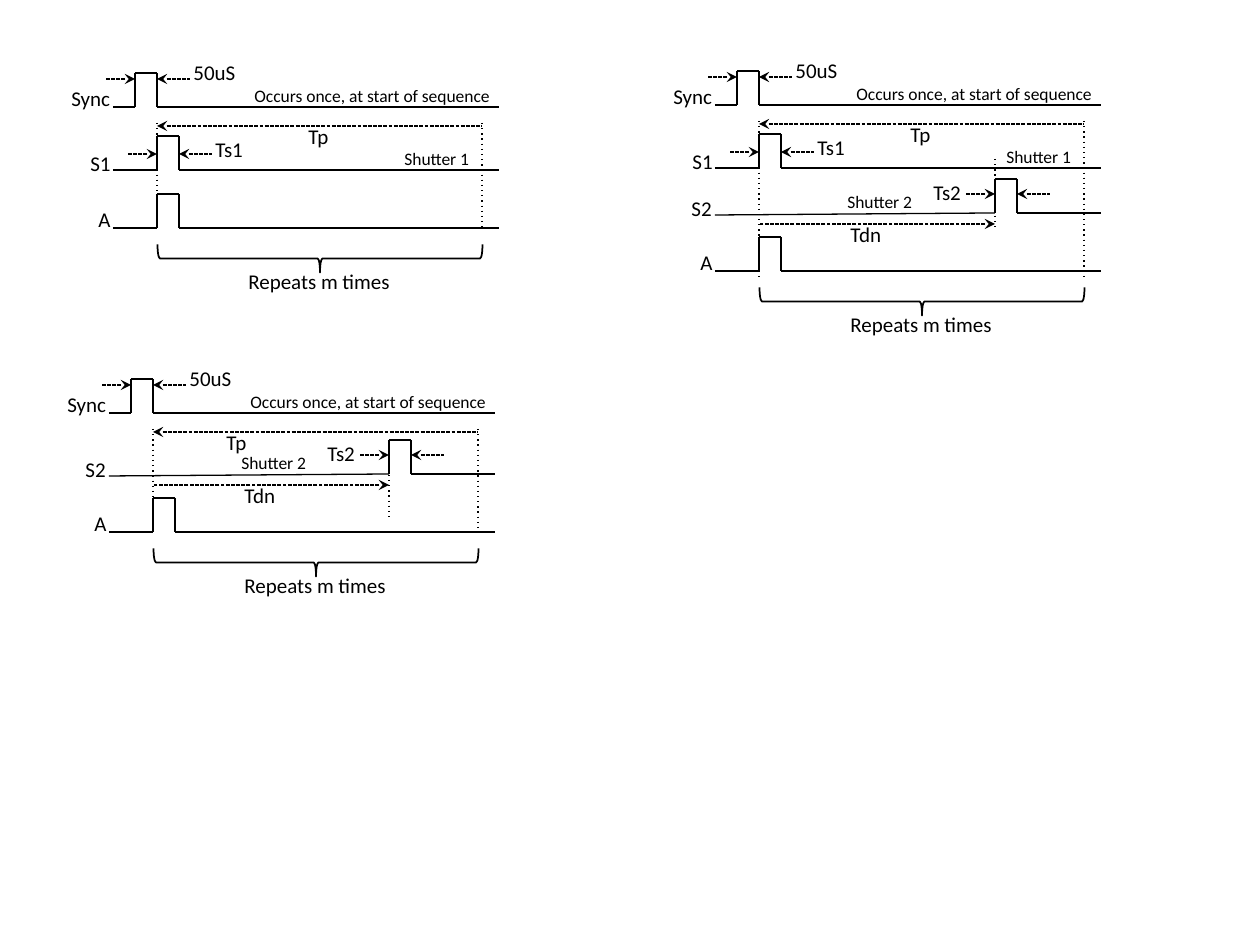
"""Build a slide with three timing diagrams for synchronised shutters."""
from lxml.etree import SubElement
from pptx import Presentation
from pptx.dml.color import RGBColor
from pptx.enum.dml import MSO_LINE
from pptx.enum.shapes import MSO_CONNECTOR, MSO_SHAPE
from pptx.enum.text import MSO_AUTO_SIZE
from pptx.oxml.ns import qn
from pptx.util import Pt

PIXEL = 914400 // 126
COLORS = {"ink": "000000"}
PULSE_WIDTH = 22
PULSE_HEIGHT = 34
LINE_START = -44
LINE_END = 342
PERIOD = 325
DELAY = 236

presentation = Presentation()
presentation.slide_width = 1260 * PIXEL
presentation.slide_height = 945 * PIXEL
slide = presentation.slides.add_slide(presentation.slide_layouts[6])


def add_line(shapes, start, end, dash=None, arrow=False):
    line = shapes.add_connector(
        MSO_CONNECTOR.STRAIGHT, *(round(value * PIXEL) for value in (*start, *end)))
    line.line.color.rgb = RGBColor.from_string(COLORS["ink"])
    line.line.width = Pt(0.75)
    if dash:
        line.line.dash_style = dash
    if arrow:
        SubElement(line.line._get_or_add_ln(), qn("a:headEnd"), type="stealth")
    SubElement(line._element.spPr, qn("a:effectLst"))


def add_text(text, left, top, width, height=38, size=12, color="ink"):
    box = slide.shapes.add_textbox(
        left * PIXEL, top * PIXEL, width * PIXEL, height * PIXEL)
    frame = box.text_frame
    frame.word_wrap = False
    frame.auto_size = MSO_AUTO_SIZE.SHAPE_TO_FIT_TEXT
    run = frame.paragraphs[0].add_run()
    run.text = text
    run.font.name = "Calibri"
    run.font.size = Pt(size)
    run.font.color.rgb = RGBColor.from_string(COLORS[color])


diagrams = [
    {"origin": (157, 107), "signals": {"Sync": 0, "S1": 63, "A": 121},
     "guide_ends": (121, 121), "period_label": 139},
    {"origin": (153, 413), "signals": {"Sync": 0, "S2": 61, "A": 119},
     "guide_ends": (104, 119), "period_label": 61, "delay_guide": (36, 104)},
    {"origin": (759, 105), "signals": {"Sync": 0, "S1": 63, "S2": 108, "A": 166},
     "guide_ends": (175, 175), "period_label": 139, "delay_guide": (54, 123)},
]
pulse_starts = {"Sync": -PULSE_WIDTH, "S1": 0, "S2": DELAY, "A": 0}
arrow_rises = {"Sync": 28, "S1": 16, "S2": 19}
labels = {
    "Sync": [("Sync", -98, -28, 66, 12), ("50uS", 24, -54, 68, 12),
             ("Occurs once, at start of sequence", 85, -28, 260, 10)],
    "S1": [("S1", -79, -26, 47, 12), ("Ts1", 46, -40, 55, 12),
           ("Shutter 1", 235, -28, 91, 10)],
    "S2": [("S2", -80, -24, 47, 12), ("Ts2", 162, -40, 55, 12),
           ("Tdn", 79, 2, 58, 12), ("Shutter 2", 76, -28, 91, 10)],
    "A": [("A", -71, -28, 38, 12), ("Repeats m times", 79, 34, 169, 12)],
}

for diagram in diagrams:
    left, top = diagram["origin"]
    signals = diagram["signals"]

    for name, offset in signals.items():
        base = top + offset
        peak = base - PULSE_HEIGHT
        rise = left + pulse_starts[name]
        fall = rise + PULSE_WIDTH
        initial = base + 2 if name == "S2" else base
        add_line(slide.shapes, (left + LINE_START, initial), (rise, base))
        pulse = slide.shapes.add_group_shape()
        for start, end in (((rise, peak), (rise, base)),
                           ((fall, peak), (fall, base)),
                           ((rise, peak), (fall, peak))):
            add_line(pulse.shapes, start, end)
        add_line(slide.shapes, (fall, base), (left + LINE_END, base))
        if name in arrow_rises:
            level = base - arrow_rises[name]
            for edge, tail in ((rise, rise - 30), (fall, fall + 33)):
                add_line(slide.shapes, (edge, level), (tail, level),
                         MSO_LINE.SQUARE_DOT, True)
        for text, label_left, label_top, width, size in labels[name]:
            add_text(text, left + label_left, base + label_top, width,
                     height=38 if size == 12 else 34, size=size)

    for guide, guide_end in zip((0, PERIOD), diagram["guide_ends"]):
        add_line(slide.shapes, (left + guide, top + 16),
                 (left + guide, top + guide_end), MSO_LINE.ROUND_DOT)
    add_line(slide.shapes, (left, top + 19), (left + PERIOD, top + 19),
             MSO_LINE.SQUARE_DOT, True)
    add_text("Tp", left + diagram["period_label"], top + 10, 47)

    if "delay_guide" in diagram:
        delayed = left + DELAY
        guide_top, guide_bottom = diagram["delay_guide"]
        add_line(slide.shapes, (delayed, top + guide_top),
                 (delayed, top + guide_bottom), MSO_LINE.ROUND_DOT)
        level = top + signals["S2"] + 11
        add_line(slide.shapes, (delayed, level), (left, level),
                 MSO_LINE.SQUARE_DOT, True)

    brace_width = 28
    brace = slide.shapes.add_shape(
        MSO_SHAPE.RIGHT_BRACE,
        (left + 163 - brace_width // 2) * PIXEL,
        (top + signals["A"] + 30 - PERIOD // 2) * PIXEL,
        brace_width * PIXEL, PERIOD * PIXEL)
    brace.rotation = 90
    brace.shadow.inherit = False
    brace.fill.background()
    brace.line.color.rgb = RGBColor.from_string(COLORS["ink"])
    brace.line.width = Pt(1)

for dash in slide.shapes._spTree.iter(qn("a:prstDash")):
    if dash.get("val") == "sysDot":
        dash.set("val", "sysDash" if dash.getnext() is not None else "dot")

presentation.save("out.pptx")
